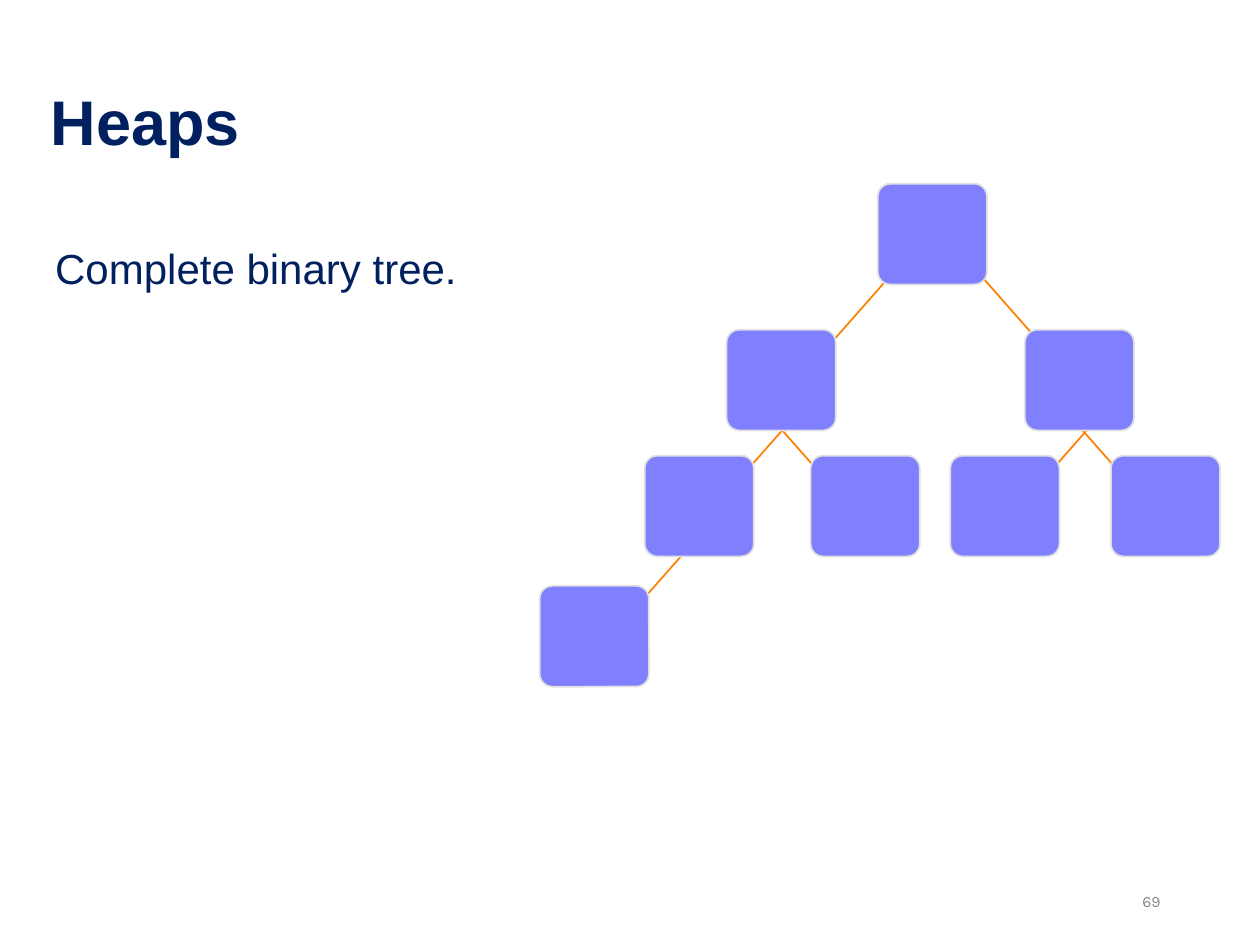
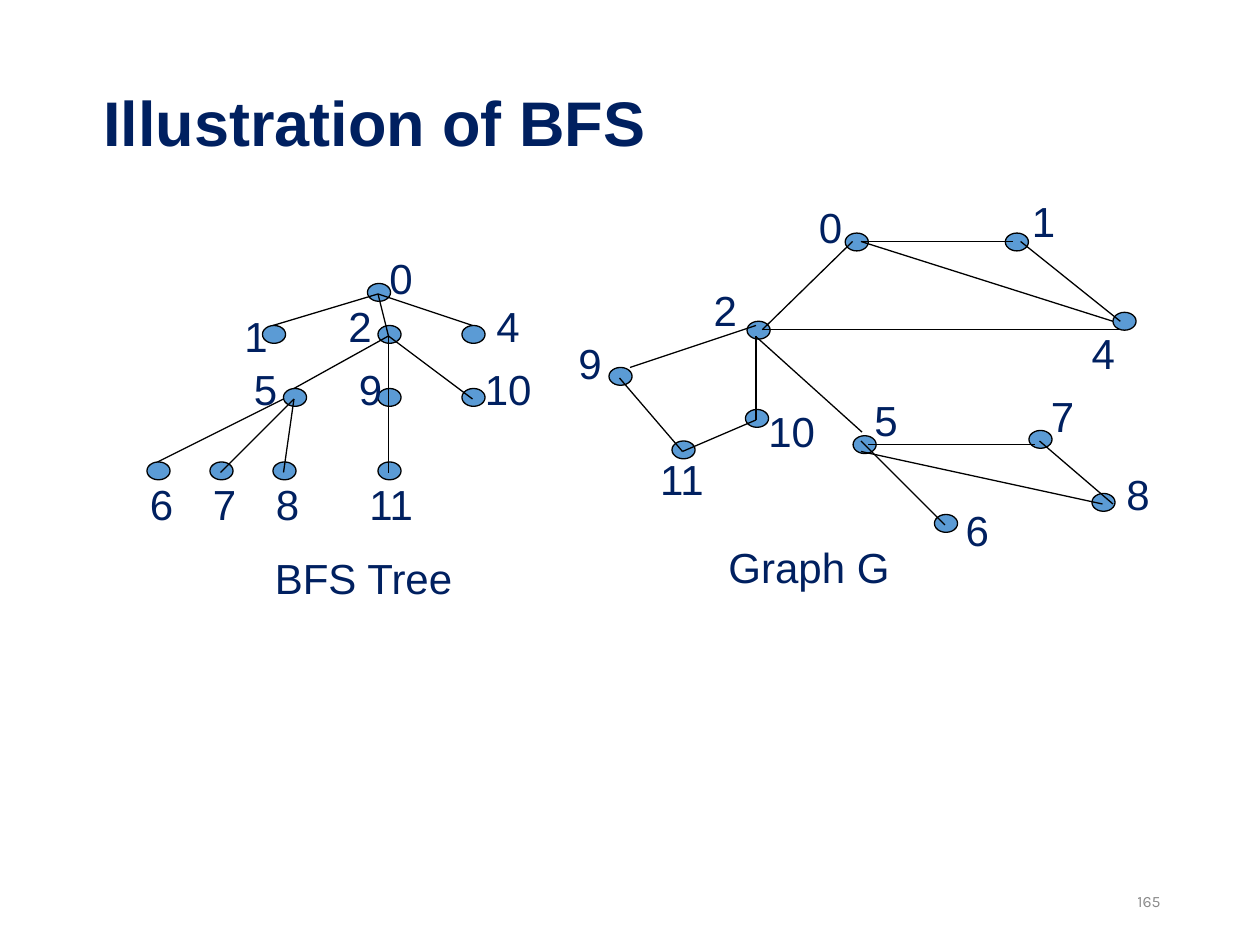
from lxml.etree import SubElement
from pptx import Presentation
from pptx.dml.color import RGBColor
from pptx.enum.shapes import MSO_CONNECTOR, MSO_SHAPE
from pptx.enum.text import MSO_ANCHOR, PP_ALIGN
from pptx.oxml.ns import qn
from pptx.util import Inches, Pt

COLORS = {
    "navy": "002060",
    "gray": "898989",
    "violet": "8080FF",
    "silver": "E0E0E0",
    "orange": "FF8000",
    "blue": "5B9BD5",
    "black": "000000",
}

deck = Presentation()
deck.slide_width, deck.slide_height = Inches(10), Inches(7.5)
# Every length below counts cells of a grid of 120 columns by 90 rows.
CELL = deck.slide_width // 120


def add_text(page, text, place, size=24, color="navy", font="Arial", bold=False,
             wrap=True, insets=(0.1, 0.05), anchor=MSO_ANCHOR.TOP,
             align=PP_ALIGN.LEFT, spacing=1.0):
    box = page.shapes.add_textbox(*(round(cells * CELL) for cells in place))
    frame = box.text_frame
    frame.text = text
    frame.word_wrap = wrap
    frame.vertical_anchor = anchor
    frame.margin_left = frame.margin_right = Inches(insets[0])
    frame.margin_top = frame.margin_bottom = Inches(insets[1])
    para = frame.paragraphs[0]
    para.alignment = align
    para.line_spacing = spacing
    span = para.runs[0]
    span.font.name = font
    span.font.size = Pt(size)
    span.font.bold = bold
    span.font.color.rgb = RGBColor.from_string(COLORS[color])


def add_edges(page, edges, color, width):
    for edge in edges:
        line = page.shapes.add_connector(
            MSO_CONNECTOR.STRAIGHT, *(round(cells * CELL) for cells in edge))
        line.line.color.rgb = RGBColor.from_string(COLORS[color])
        line.line.width = Pt(width)
        SubElement(line._element.spPr, qn("a:effectLst"))


# Title and page number
pages = []
for title, title_place, number in (
    ("Heaps", (4, 4.4, 102, 15), "69"),
    ("Illustration of BFS", (9, 8, 102, 8), "165"),
):
    page = deck.slides.add_slide(deck.slide_layouts[6])
    add_text(page, title, title_place, size=36, bold=True, insets=(0.07, 0.04),
             anchor=MSO_ANCHOR.MIDDLE, spacing=0.9)
    add_text(page, number, (84.7, 83.4, 27, 4.8), size=9, color="gray", font="Karla",
             anchor=MSO_ANCHOR.MIDDLE, align=PP_ALIGN.RIGHT)
    pages.append(page)
heap_page, bfs_page = pages

# Heap: rows of nodes, and edges that all have the same slope
add_text(heap_page, "Complete binary tree.", (4.3, 22.6, 49.4, 54),
         insets=(0.08, 0.07), spacing=0.95)
heap_rows = {
    17.5: (83.6,),
    31.4: (69.2, 97.6),
    43.4: (61.4, 77.2, 90.5, 105.8),
    55.8: (51.4,),
}
heap_nodes = [(left, top) for top, lefts in heap_rows.items() for left in lefts]
RUN, DROP = 7.4, 8.4
heap_edges = [
    (left, top, left + side * RUN, top + DROP)
    for left, top, side in (
        (84.5, 26.6, -1), (93.2, 26, 1),
        (76.6, 38.6, -1), (72.4, 38.6, 1),
        (105.6, 38.6, -1), (101, 38.6, 1),
        (66.6, 51, -1),
    )
]

# BFS tree and graph: each vertex has the corner of its node and of its label
tree = {
    "0": ((35, 27), (35.9, 23.5)),
    "1": ((25, 31), (22.1, 29)),
    "2": ((36, 31), (32, 28)),
    "4": ((44, 31), (46.1, 28)),
    "5": ((27, 37), (23, 34)),
    "9": ((36, 37), (33, 34)),
    "10": ((44, 37), (45, 34)),
    "6": ((14, 44), (13.1, 45)),
    "7": ((20, 44), (19.1, 45)),
    "8": ((26, 44), (25.1, 45)),
    "11": ((36, 44), (34, 45)),
}
graph = {
    "0": ((80.5, 22.2), (76.8, 18.6)),
    "1": ((95.75, 22.2), (97.1, 18)),
    "2": ((71.15, 30.6), (66.8, 26.5)),
    "4": ((106, 29.75), (102.8, 30.6)),
    "5": ((81.25, 41.5), (82.1, 37)),
    "6": ((89, 49), (90.8, 47.5)),
    "7": ((98, 41), (98.9, 36.6)),
    "8": ((104, 47), (106.1, 44)),
    "9": ((58, 35), (53.9, 31.6)),
    "10": ((71, 39), (72, 38)),
    "11": ((64, 42), (61.7, 42.6)),
}
vertices = [*tree.items(), *graph.items()]
bfs_nodes = [node for _, (node, _) in vertices]

# Parent, shift of the start, child, depth of the end inside the child
tree_edges = []
for parent, shift, child, depth in (
    ("0", 1, "1", 0), ("0", 1, "2", 1), ("0", 1, "4", 0),
    ("2", 1, "5", 0), ("2", 1, "9", 1), ("2", 1, "10", 1),
    ("5", 0, "6", 0), ("5", 1, "7", 1), ("5", 1, "8", 1),
    ("9", 1, "11", 1),
):
    (start_x, start_y), (end_x, end_y) = tree[parent][0], tree[child][0]
    tree_edges.append((start_x + shift, start_y + 1, end_x + 1, end_y + depth))

graph_edges = [
    (82, 23, 96.5, 23),
    (72.6, 31.4, 106.7, 31.4),
    (72.6, 31.4, 81.2, 23),
    (97.2, 23, 106.7, 30.6),
    (82.7, 42.35, 98.6, 42.35),
    (82, 23, 106, 30.6),
    (82.1, 41.15, 72.1, 32.15),
    (99, 42, 106, 48),
    (82, 42, 90, 50),
    (82, 43, 105, 48),
    (72, 31, 60, 35),
    (72, 32, 72, 40),
    (59, 36, 65, 43),
    (72, 40, 65, 43),
]

# Heap edges lie under their nodes, BFS edges over theirs
add_edges(heap_page, heap_edges, "orange", 1)
for page, nodes, preset, size, fill, outline, width in (
    (heap_page, heap_nodes, MSO_SHAPE.ROUNDED_RECTANGLE, (10.4, 9.6),
     "violet", "silver", 1),
    (bfs_page, bfs_nodes, MSO_SHAPE.OVAL, (2.2, 1.7), "blue", "black", 0.75),
):
    for corner in nodes:
        node = page.shapes.add_shape(
            preset, *(round(cells * CELL) for cells in corner + size))
        node.shadow.inherit = False
        node.fill.solid()
        node.fill.fore_color.rgb = RGBColor.from_string(COLORS[fill])
        node.line.color.rgb = RGBColor.from_string(COLORS[outline])
        node.line.width = Pt(width)
        if preset == MSO_SHAPE.ROUNDED_RECTANGLE:
            node.adjustments[0] = 0.126
add_edges(bfs_page, tree_edges + graph_edges, "black", 0.75)

for label, (_, corner) in vertices:
    label_width = 2.4 + 2.22 * len(label)
    add_text(bfs_page, label, (*corner, label_width, 6), wrap=False)
for caption, place in (
    ("BFS Tree", (25, 52, 19.4, 6)),
    ("Graph G", (68.2, 51, 17.8, 6)),
):
    add_text(bfs_page, caption, place, wrap=False)

deck.save("out.pptx")
